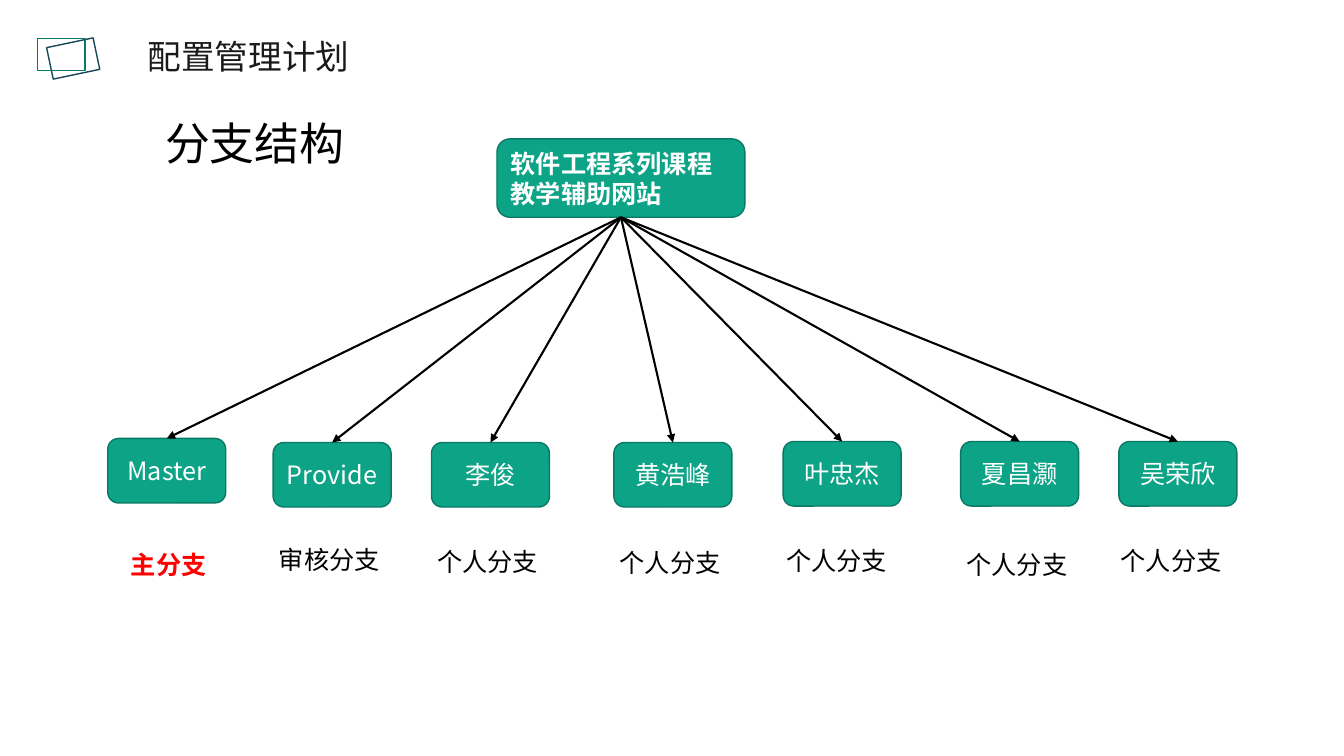
from dataclasses import dataclass
from lxml import etree
from pptx import Presentation
from pptx.dml.color import RGBColor
from pptx.enum import shapes, text
from pptx.oxml import ns
from pptx.util import Pt


@dataclass(frozen=True)
class Theme:
    green: str = "0DA386"
    edge: str = "0A7963"
    navy: str = "184858"
    ink: str = "1A1A1A"
    black: str = "000000"
    white: str = "FFFFFF"
    red: str = "FF0000"
    sans: str = "Noto Sans CJK SC"
    latin: str = "Calibri"
    small: int = 18
    title: int = 24
    head: int = 32


T = Theme()
NODE = (84.3, 46.1)

# Branch name, node (x, y), caption, caption (x, y)
BRANCHES = [
    ("Master", (77, 313.2), "主分支", (86.4, 388.8)),
    ("Provide", (195.1, 316.1), "审核分支", (192.2, 385.2)),
    ("李俊", (308.2, 316.1), "个人分支", (305.3, 386.6)),
    ("黄浩峰", (438.5, 316.1), "个人分支", (435.6, 387.4)),
    ("叶忠杰", (559.4, 315.4), "个人分支", (554.4, 385.9)),
    ("夏昌灏", (686.2, 315.4), "个人分支", (683.3, 388.8)),
    ("吴荣欣", (799.2, 315.4), "个人分支", (793.4, 385.9)),
]


def rgb(code):
    return RGBColor.from_string(code)


def write(shape, words, size, color, font=T.sans, bold=False, align=text.PP_ALIGN.LEFT):
    frame = shape.text_frame
    frame.text = words
    para = frame.paragraphs[0]
    para.alignment = align
    run = para.runs[0]
    run.font.size = Pt(size)
    run.font.name = font
    run.font.bold = bold
    run.font.color.rgb = rgb(color)
    east = etree.SubElement(run.font._element, ns.qn("a:ea"))
    east.set("typeface", T.sans)


def panel(slide, kind, box, line, fill=None):
    shape = slide.shapes.add_shape(kind, *map(Pt, box))
    shape.shadow.inherit = False
    shape.line.color.rgb = rgb(line)
    shape.line.width = Pt(1)
    if fill:
        shape.fill.solid()
        shape.fill.fore_color.rgb = rgb(fill)
    else:
        shape.fill.background()
    return shape


def node(slide, box, words, **style):
    shape = panel(slide, shapes.MSO_SHAPE.ROUNDED_RECTANGLE, box, T.edge, T.green)
    shape.text_frame.word_wrap = True
    shape.text_frame.vertical_anchor = text.MSO_ANCHOR.MIDDLE
    write(shape, words, T.small, T.white, **style)
    return shape


def label(slide, box, words, size, color, wrap=False, bold=False):
    shape = slide.shapes.add_textbox(*map(Pt, box))
    shape.text_frame.word_wrap = wrap
    shape.text_frame.auto_size = text.MSO_AUTO_SIZE.SHAPE_TO_FIT_TEXT
    write(shape, words, size, color, T.latin, bold)


def arrow(slide, top, leaf):
    line = slide.shapes.add_connector(shapes.MSO_CONNECTOR.STRAIGHT, 0, 0, 0, 0)
    line.begin_connect(top, 2)
    line.end_connect(leaf, 0)
    line.line.color.rgb = rgb(T.black)
    line.line.width = Pt(1.5)
    tail = etree.SubElement(line.line._get_or_add_ln(), ns.qn("a:tailEnd"))
    tail.set("type", "triangle")
    etree.SubElement(line._element.spPr, ns.qn("a:effectLst"))


def header(slide, box):
    x, y, wide, high = box
    # Two overlapping frames
    rect = shapes.MSO_SHAPE.RECTANGLE
    tilted = panel(slide, rect, (x + 8.6, y + 8, 34, 23), T.navy)
    tilted.rotation = 348.1
    panel(slide, rect, (x, y + 5, 34, 23), T.edge)
    # Slide title
    title = slide.shapes.title
    title.left, title.top = Pt(x + 44.6), Pt(y)
    title.width, title.height = Pt(wide - 44.6), Pt(high)
    title.text_frame.auto_size = text.MSO_AUTO_SIZE.NONE
    title.text_frame.vertical_anchor = text.MSO_ANCHOR.MIDDLE
    write(title, "配置管理计划", T.title, T.ink, align=text.PP_ALIGN.CENTER)


def tree(slide, box):
    x, y, wide, high = box
    # Heading and root
    label(slide, (x + 33.9, y, 161, 46), "分支结构", T.head, T.black, wrap=True)
    root = node(slide, (x + 278, y + 20, 177.1, 56), "软件工程系列课程教学辅助网站", bold=True)
    # Branches with captions and arrows
    dx, dy = x - 77, y - 79.2
    for name, (left, top), note, (nx, ny) in BRANCHES:
        leaf = node(slide, (left + dx, top + dy, *NODE), name, align=text.PP_ALIGN.CENTER)
        arrow(slide, root, leaf)
        main = note == "主分支"
        label(slide, (nx + dx, ny + dy, 14.4 + T.small * len(note), 29), note,
              T.small, T.red if main else T.black, bold=main)


def main():
    deck = Presentation()
    deck.slide_width, deck.slide_height = Pt(960), Pt(540)
    slide = deck.slides.add_slide(deck.slide_layouts[5])
    header(slide, (26.7, 22.3, 257, 36))
    tree(slide, (77, 79.2, 806.5, 339))
    deck.save("out.pptx")


if __name__ == "__main__":
    main()
